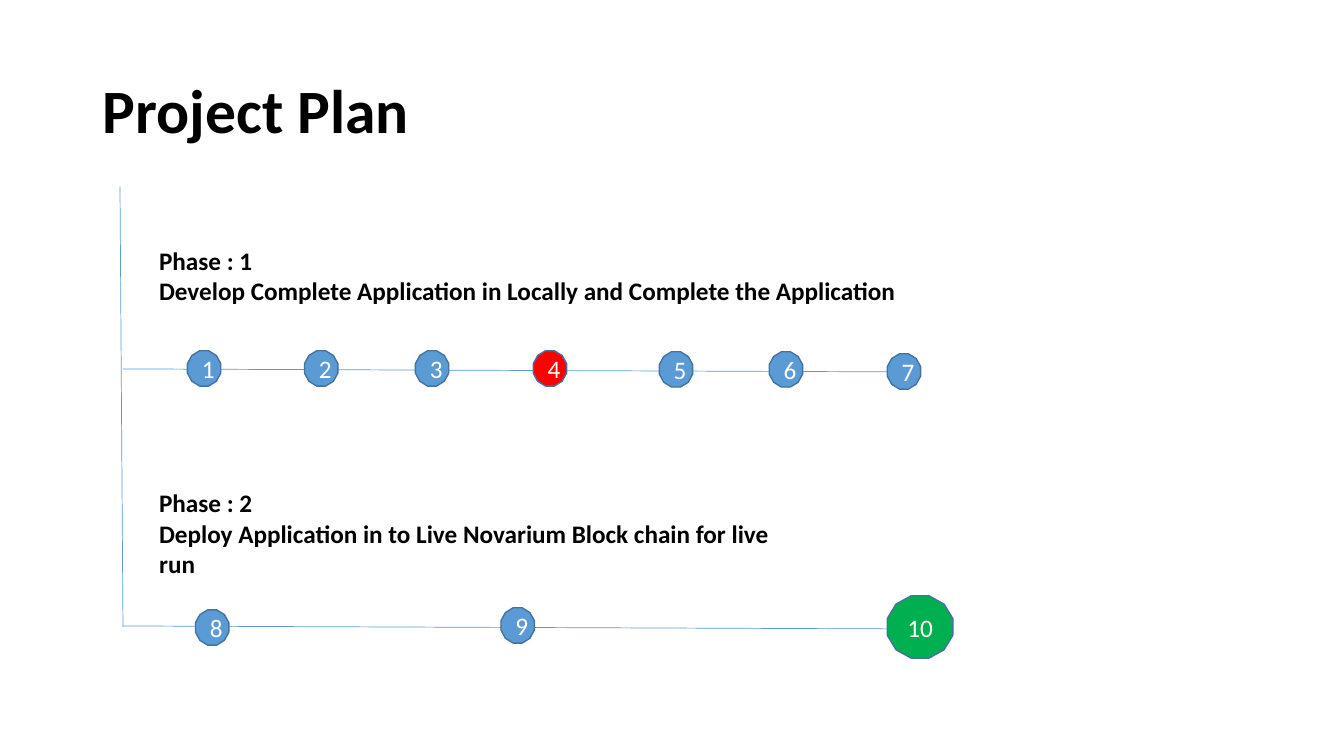
"""Build the project plan slide: two phases with numbered milestones."""
from typing import NamedTuple

from lxml import etree
from pptx import Presentation, util as u
from pptx.dml.color import RGBColor
from pptx.enum import shapes, text
from pptx.oxml.ns import qn

FONT = "Calibri"
BLACK, WHITE = "000000", "FFFFFF"
BLUE, EDGE, RED, GREEN = "5B9BD5", "43739E", "FF0000", "00B050"

deck = Presentation()
deck.slide_width, deck.slide_height = u.Inches(13.33), u.Inches(7.5)
page = deck.slides.add_slide(deck.slide_layouts[6])


class Heading(NamedTuple):
    """Bold text in a box placed in percent of the slide's size."""
    lines: list[str]
    left: float
    top: float
    width: float
    height: float
    size: int = 18
    anchor: text.MSO_ANCHOR = text.MSO_ANCHOR.TOP
    spacing: float = 1.0
    wrap: bool = False


class Track(NamedTuple):
    """A thin line between two points in percent of the slide's size."""
    x1: float
    y1: float
    x2: float
    y2: float


class Milestone(NamedTuple):
    """A numbered dodecagon in percent of the slide's size."""
    number: int
    left: float
    top: float
    fill: str = BLUE
    width: float = 2.48
    height: float = 4.67


HEADINGS = [
    Heading(["Project Plan"], 6.9, 5.33, 86.25, 19.33, 44,
            text.MSO_ANCHOR.MIDDLE, 0.9, True),
    Heading(["Phase : 1 ", "Develop Complete Application in Locally and "
             "Complete the Application"], 11.1, 31.73, 56.79, 17.47),
    Heading(["Phase : 2", "Deploy Application in to Live Novarium Block chain "
             "for live run"], 11.1, 63.87, 49.81, 9.47),
]
TRACKS = [
    Track(8.93, 24.67, 9.15, 82.93),
    Track(9.15, 48.8, 67.82, 49.2),
    Track(9.15, 82.8, 67.82, 83.2),
]
MILESTONES = [
    Milestone(1, 13.95, 46.4),
    Milestone(2, 22.66, 46.4),
    Milestone(3, 30.91, 46.4),
    Milestone(4, 39.68, 46.4, RED),
    Milestone(5, 49.06, 46.53),
    Milestone(6, 57.24, 46.53),
    Milestone(7, 66.02, 46.8),
    Milestone(8, 14.55, 80.67),
    Milestone(9, 37.28, 80.4),
    Milestone(10, 66.02, 78.8, GREEN, 4.88, 8.27),
]


def color(value: str) -> RGBColor:
    """Turn a hex string into a colour."""
    return RGBColor.from_string(value)


def across(share: float) -> int:
    """Length of a percentage of the slide's width."""
    return round(deck.slide_width * share / 100)


def down(share: float) -> int:
    """Length of a percentage of the slide's height."""
    return round(deck.slide_height * share / 100)


def set_font(para, size: int, value: str, bold: bool = False) -> None:
    """Set the font of a whole paragraph."""
    font = para.font
    font.name, font.size, font.bold = FONT, u.Pt(size), bold
    font.color.rgb = color(value)


def draw_heading(item: Heading) -> None:
    """Add a text box with one paragraph for each line."""
    box = page.shapes.add_textbox(across(item.left), down(item.top),
                                  across(item.width), down(item.height))
    frame = box.text_frame
    frame.word_wrap = item.wrap
    frame.vertical_anchor = item.anchor
    frame.text = "\n".join(item.lines)
    for para in frame.paragraphs:
        para.line_spacing = item.spacing
        set_font(para, item.size, BLACK, bold=True)


def draw_track(item: Track) -> None:
    """Add a thin blue line without a shadow."""
    line = page.shapes.add_connector(
        shapes.MSO_CONNECTOR.STRAIGHT, across(item.x1), down(item.y1),
        across(item.x2), down(item.y2))
    line.line.color.rgb = color(BLUE)
    line.line.width = u.Pt(0.5)
    etree.SubElement(line._element.spPr, qn("a:effectLst"))


def draw_milestone(item: Milestone) -> None:
    """Add a dodecagon with its number."""
    mark = page.shapes.add_shape(
        shapes.MSO_SHAPE.DODECAGON, across(item.left), down(item.top),
        across(item.width), down(item.height))
    mark.shadow.inherit = False
    mark.fill.solid()
    mark.fill.fore_color.rgb = color(item.fill)
    mark.line.color.rgb = color(EDGE)
    mark.line.width = u.Pt(1)
    frame = mark.text_frame
    frame.vertical_anchor = text.MSO_ANCHOR.MIDDLE
    para = frame.paragraphs[0]
    para.text = str(item.number)
    para.alignment = text.PP_ALIGN.CENTER
    set_font(para, 18, WHITE)


for heading in HEADINGS:
    draw_heading(heading)
for track in TRACKS:
    draw_track(track)
for milestone in MILESTONES:
    draw_milestone(milestone)

deck.save("out.pptx")
